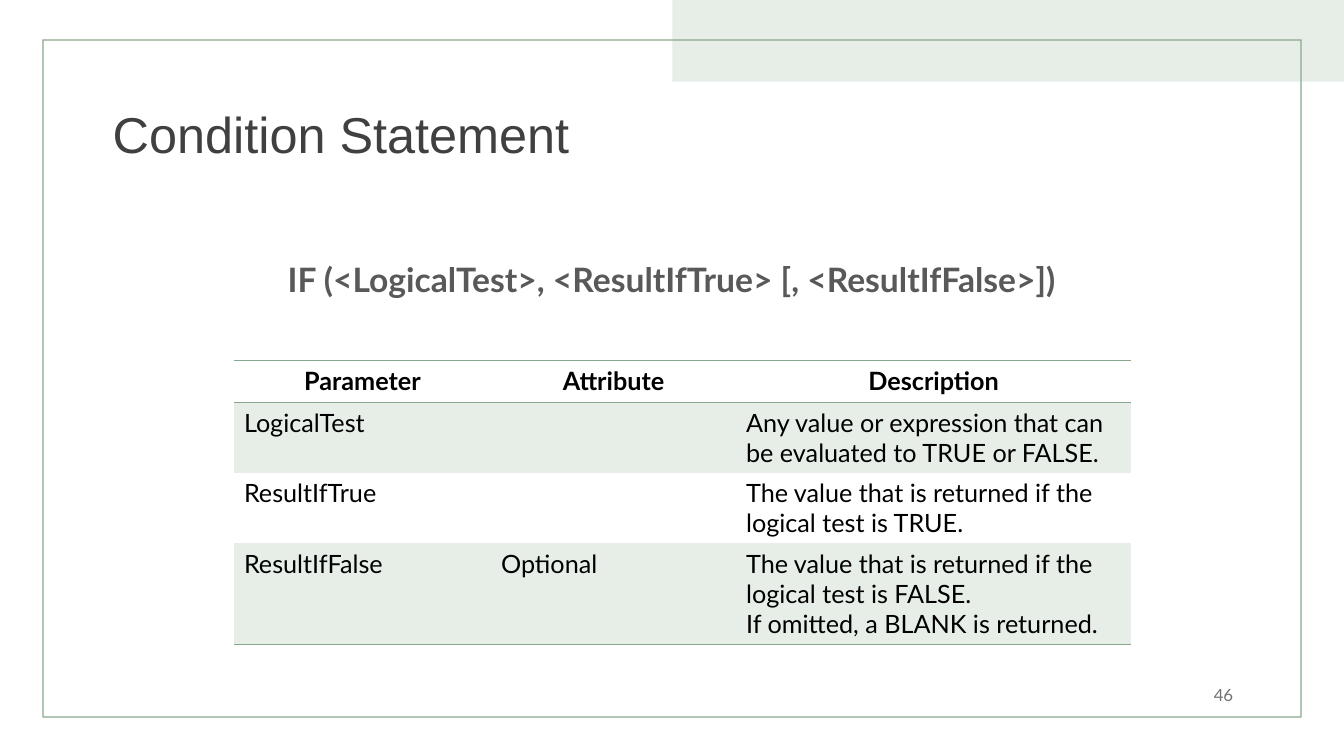
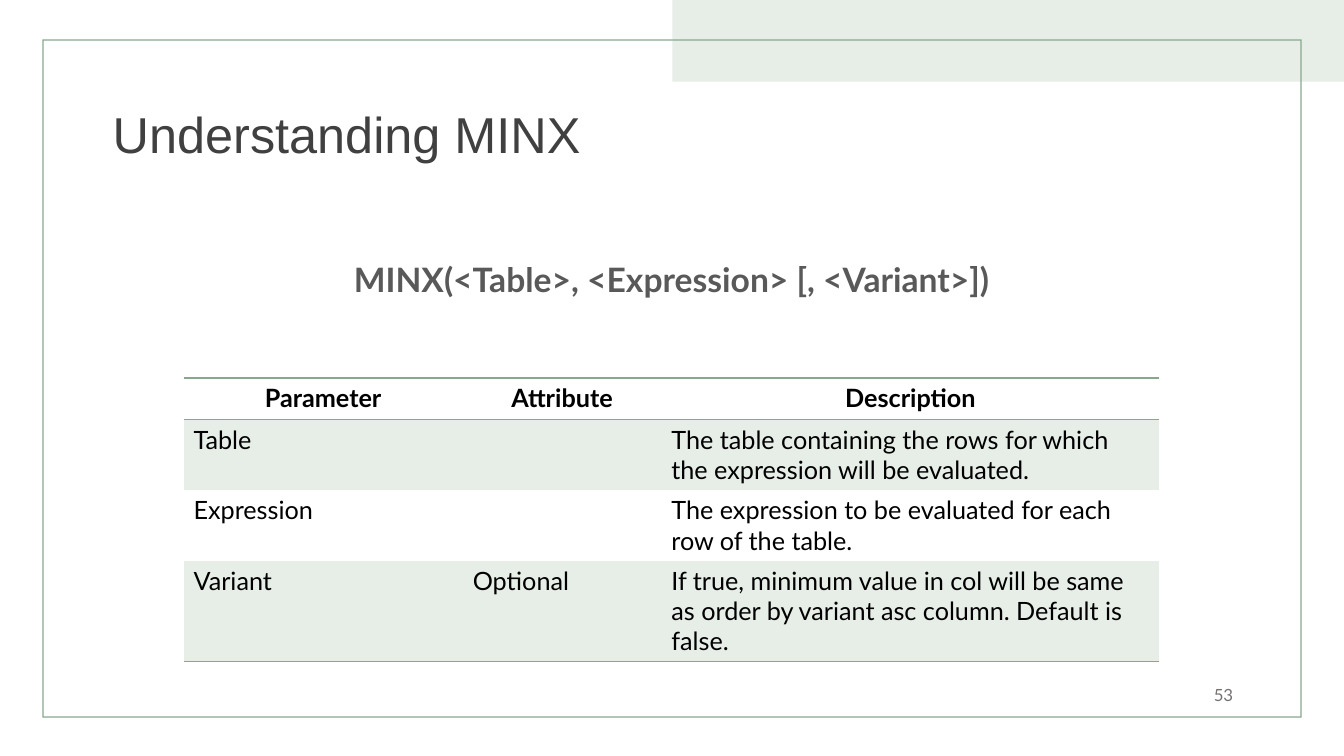
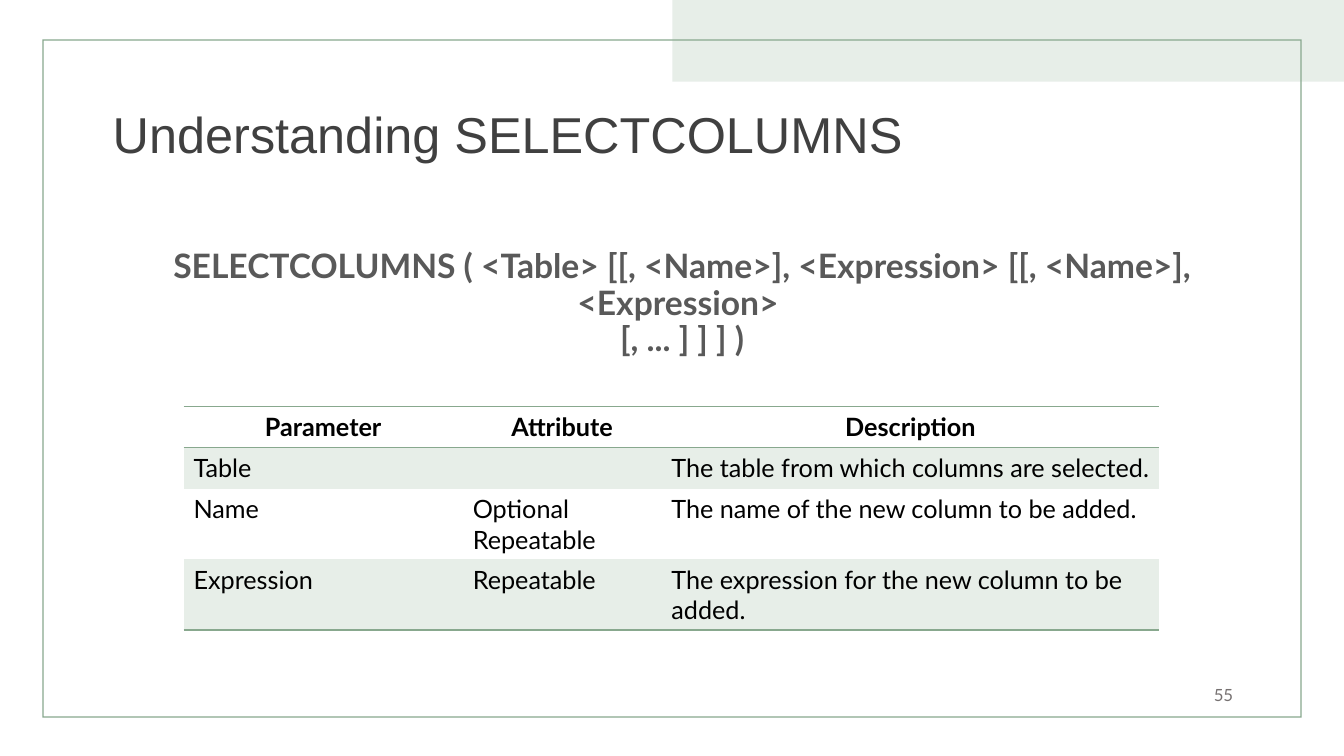
import dataclasses

import lxml.etree
import pptx
import pptx.dml.color
import pptx.enum.shapes
import pptx.enum.text
import pptx.oxml.ns
import pptx.util

Inches = pptx.util.Inches
Align = pptx.enum.text.PP_ALIGN
Anchor = pptx.enum.text.MSO_ANCHOR
Shape = pptx.enum.shapes.MSO_SHAPE


@dataclasses.dataclass(frozen=True)
class Theme:
    green: str = "88A88E"
    pale: str = "E7EEE8"
    title: str = "404040"
    syntax: str = "595959"
    body: str = "000000"
    number: str = "767171"
    head_font: str = "Arial"
    body_font: str = "Lato"
    title_size: int = 36
    syntax_size: int = 24
    body_size: int = 18
    number_size: int = 12
    rule: int = 1
    row: float = 0.41
    plain_table: str = "{2D5ABB26-0587-4C30-8999-92F81FD0307C}"


THEME = Theme()
HEADS = ("Parameter", "Attribute", "Description")
WIDE = (2.77, 1.97, 4.94)

# In the syntax line, \v is a line break inside the paragraph.
PAGES = [
    dict(
        title="Condition Statement",
        number=46,
        syntax="IF (<LogicalTest>, <ResultIfTrue> [, <ResultIfFalse>])",
        syntax_box=(2.74, 2.56, 7.84, 0.48),
        corner=(2.32, 3.58),
        widths=(2.55, 2.43, 3.92),
        rows=[
            ("LogicalTest", "",
             "Any value or expression that can be evaluated to TRUE or FALSE."),
            ("ResultIfTrue", "",
             "The value that is returned if the logical test is TRUE."),
            ("ResultIfFalse", "Optional",
             "The value that is returned if the logical test is FALSE.\n"
             "If omitted, a BLANK is returned."),
        ],
    ),
    dict(
        title="Understanding MINX",
        number=53,
        syntax="MINX(<Table>, <Expression> [, <Variant>])",
        syntax_box=(2.74, 2.56, 7.84, 0.48),
        corner=(1.82, 3.75),
        widths=WIDE,
        rows=[
            ("Table", "",
             "The table containing the rows for which the expression "
             "will be evaluated."),
            ("Expression", "",
             "The expression to be evaluated for each row of the table."),
            ("Variant", "Optional",
             "If true, minimum value in col will be same as order by "
             "variant asc column. Default is false."),
        ],
    ),
    dict(
        title="Understanding SELECTCOLUMNS",
        number=55,
        syntax="SELECTCOLUMNS ( <Table> [[, <Name>], <Expression> "
               "[[, <Name>], <Expression> \v[, ... ] ] ] )",
        syntax_box=(0.89, 2.43, 11.75, 1.04),
        corner=(1.82, 4.03),
        widths=WIDE,
        rows=[
            ("Table", "", "The table from which columns are selected."),
            ("Name", "Optional\nRepeatable",
             "The name of the new column to be added."),
            ("Expression", "Repeatable",
             "The expression for the new column to be added."),
        ],
    ),
]


def rgb(code):
    return pptx.dml.color.RGBColor.from_string(code)


def write(frame, words, size=THEME.body_size, color=THEME.body,
          font=THEME.body_font, bold=False, align=Align.LEFT, spacing=None):
    frame.word_wrap = True
    frame.text = words
    for para in frame.paragraphs:
        para.alignment = align
        para.line_spacing = spacing
        for run in para.runs:
            run.font.size = pptx.util.Pt(size)
            run.font.name = font
            run.font.bold = bold
            run.font.color.rgb = rgb(color)


def label(slide, box, words, anchor=Anchor.TOP, **style):
    frame = slide.shapes.add_textbox(*map(Inches, box)).text_frame
    frame.vertical_anchor = anchor
    write(frame, words, **style)


def block(slide, kind, box, color):
    shape = slide.shapes.add_shape(kind, *map(Inches, box))
    shape.shadow.inherit = False
    shape.fill.solid()
    shape.fill.fore_color.rgb = rgb(color)
    shape.line.fill.background()
    return shape


def base(slide, title, number):
    """Draw the band, border, title and page number of every slide."""
    block(slide, Shape.RECTANGLE, (6.67, 0, 6.67, 0.81), THEME.pale)
    border = block(slide, Shape.FRAME, (0.42, 0.39, 12.49, 6.73), THEME.green)
    border.adjustments[0] = 0.002
    label(slide, (1.02, 0.53, 11.5, 1.67), title, Anchor.MIDDLE,
          size=THEME.title_size, color=THEME.title, font=THEME.head_font,
          spacing=0.9)
    label(slide, (9.33, 6.69, 3, 0.4), str(number), Anchor.MIDDLE,
          size=THEME.number_size, color=THEME.number, align=Align.RIGHT)


def edge(cell, *sides):
    """Rule the given sides; call before filling, as borders come first."""
    qn = pptx.oxml.ns.qn
    props = cell._tc.get_or_add_tcPr()
    for side in sides:
        line = lxml.etree.SubElement(props, qn("a:ln" + side),
                                     w=str(pptx.util.Pt(THEME.rule)))
        fill = lxml.etree.SubElement(line, qn("a:solidFill"))
        lxml.etree.SubElement(fill, qn("a:srgbClr"), val=THEME.green)


def grid(slide, corner, widths, rows):
    """Place the parameter table with its top left at corner."""
    lines = [HEADS, *rows]
    size = (sum(widths), THEME.row * len(lines))
    holder = slide.shapes.add_table(len(lines), len(widths),
                                    *map(Inches, corner + size))
    table = holder.table
    table.first_row = table.horz_banding = False
    style = table._tbl.tblPr.find(pptx.oxml.ns.qn("a:tableStyleId"))
    style.text = THEME.plain_table
    for column, width in zip(table.columns, widths):
        column.width = Inches(width)
    for r, line in enumerate(lines):
        table.rows[r].height = Inches(THEME.row)
        head = r == 0
        for c, words in enumerate(line):
            cell = table.cell(r, c)
            write(cell.text_frame, words, bold=head,
                  align=Align.CENTER if head else Align.LEFT)
            if head:
                edge(cell, "T", "B")
            elif r == len(lines) - 1:
                edge(cell, "B")
            if r % 2:
                cell.fill.solid()
                cell.fill.fore_color.rgb = rgb(THEME.pale)
            else:
                cell.fill.background()


def page(deck, title, number, syntax, syntax_box, corner, widths, rows):
    slide = deck.slides.add_slide(deck.slide_layouts[6])
    base(slide, title, number)
    label(slide, syntax_box, syntax, size=THEME.syntax_size,
          color=THEME.syntax, bold=True, align=Align.CENTER, spacing=0.9)
    grid(slide, corner, widths, rows)


def main():
    deck = pptx.Presentation()
    deck.slide_width = Inches(13.33)
    deck.slide_height = Inches(7.5)
    for parts in PAGES:
        page(deck, **parts)
    deck.save("out.pptx")


if __name__ == "__main__":
    main()
